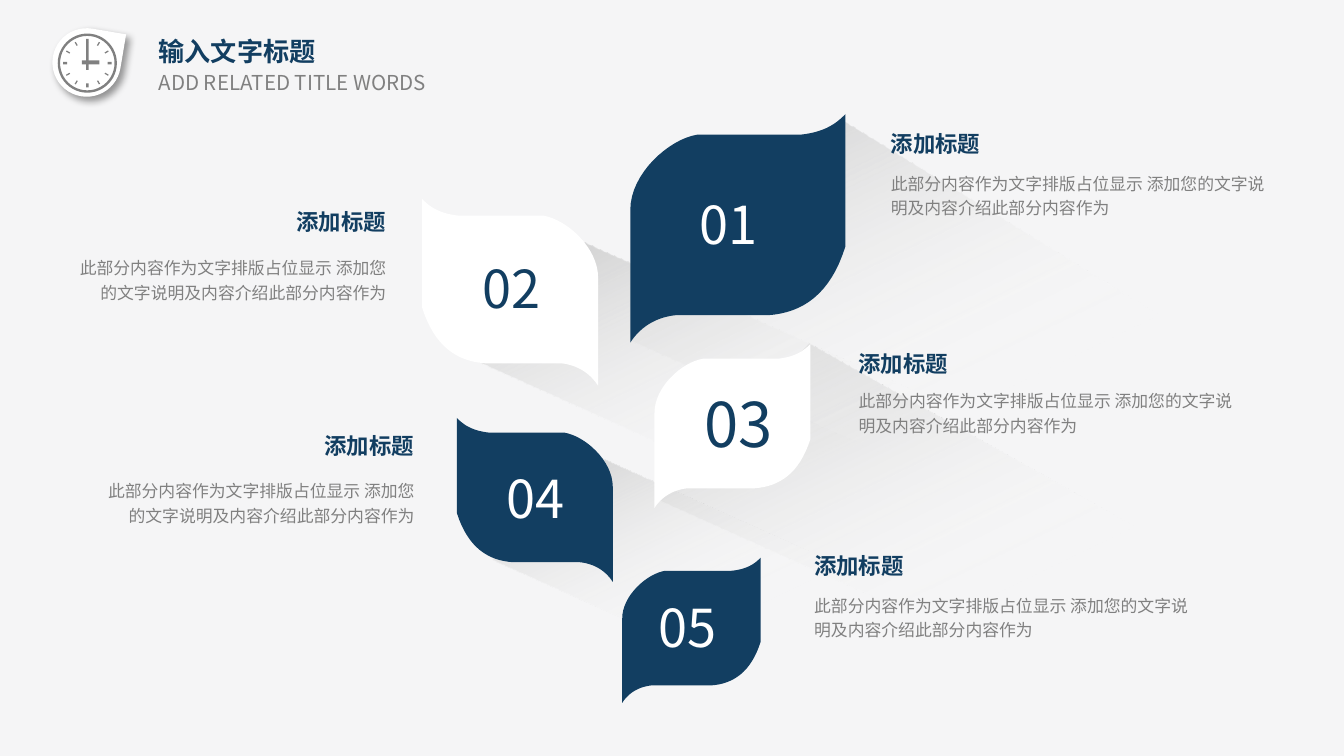
from math import cos, radians, sin

from lxml import etree
from pptx import Presentation
from pptx.dml.color import RGBColor
from pptx.enum.shapes import MSO_SHAPE as Preset
from pptx.enum.text import MSO_AUTO_SIZE as AutoSize, PP_ALIGN as Align
from pptx.oxml import parse_xml
from pptx.oxml.ns import nsdecls, qn
from pptx.util import Inches, Pt

NAVY = RGBColor(0x12, 0x3E, 0x61)
WHITE = RGBColor(0xFF, 0xFF, 0xFF)
GRAY = RGBColor(0x80, 0x80, 0x80)
PAPER = RGBColor(0xF5, 0xF5, 0xF6)
FONT = "Noto Sans CJK SC"

HEADING = "添加标题"
BODY = "此部分内容作为文字排版占位显示 添加您的文字说明及内容介绍此部分内容作为"

LEAVES = [
    {"at": (4.69, 0.85, 1.6, 1.7), "side": "right", "fill": NAVY},
    {"at": (4.87, 2.56, 1.16, 1.22), "side": "right", "fill": WHITE},
    {"at": (3.4, 3.11, 1.16, 1.22), "side": "left", "fill": NAVY},
    {"at": (3.14, 1.48, 1.31, 1.39), "side": "left", "fill": WHITE},
    {"at": (4.63, 4.15, 1.03, 1.08), "side": "right", "fill": NAVY},
]
NUMBERS = [
    ("01", (5.11, 1.38, 0.66, 0.57), 28, WHITE),
    ("02", (3.49, 1.86, 0.66, 0.57), 28, NAVY),
    ("03", (5.14, 2.82, 0.75, 0.66), 33, NAVY),
    ("04", (3.67, 3.42, 0.66, 0.57), 28, WHITE),
    ("05", (4.8, 4.38, 0.66, 0.57), 28, WHITE),
]
CAPTIONS = [
    ("right", 6.53, 0.92, 1.21),
    ("right", 6.29, 2.56, 2.83),
    ("right", 5.96, 4.06, 4.35),
    ("left", 2.97, 1.5, 1.84),
    ("left", 3.18, 3.17, 3.5),
]
SHADOW_TILT = 24.2
SHADOWS = [
    {"at": (4.98, 3.34, 5.2, 1.52),
     "corners": [(6.02, 2.56), (10.1, 4.85), (9.65, 5.85), (4.9, 3.72)]},
    {"at": (3.72, 3.91, 3.52, 1.02)},
    {"at": (3.48, 2.62, 5.11, 1.13)},
    {"at": (4.9, 1.55, 5.2, 2.14),
     "corners": [(6.27, 0.9), (10.07, 3.23), (9.43, 4.66), (4.69, 2.53)]},
]
LEAF_CURVES = [
    [(1, 0), (0.95, 0.05), (0.89, 0.08), (0.79, 0.09)],
    [(0.31, 0.09), (0.18, 0.11), (0, 0.26), (0, 0.42)],
    [(0, 1), (0.04, 0.94), (0.11, 0.89), (0.21, 0.88)],
    [(0.64, 0.88), (0.8, 0.87), (0.93, 0.79), (1, 0.58)],
]
CURVE_STEPS = 16
CLOCK_CENTER = (0.65, 0.47)
TICK_RADIUS = 0.165

GRADIENT = f"""<a:gradFill {nsdecls('a')} rotWithShape="1"><a:gsLst>
<a:gs pos="0"><a:srgbClr val="2889D6"><a:alpha val="54000"/></a:srgbClr></a:gs>
<a:gs pos="0"><a:srgbClr val="BFBFBF"/></a:gs>
<a:gs pos="54000"><a:srgbClr val="FFFFFF"><a:alpha val="0"/></a:srgbClr></a:gs>
</a:gsLst><a:lin ang="2400000" scaled="0"/></a:gradFill>"""
DROP_SHADOW = f"""<a:effectLst {nsdecls('a')}>
<a:outerShdw blurRad="50800" dist="38100" dir="2700000" algn="tl" rotWithShape="0">
<a:srgbClr val="000000"><a:alpha val="40000"/></a:srgbClr></a:outerShdw></a:effectLst>"""


def paint(shape, color):
    shape.shadow.inherit = False
    shape.line.fill.background()
    shape.fill.solid()
    shape.fill.fore_color.rgb = color
    return shape


def add_preset(page, preset, at, color, turn=0):
    shape = page.shapes.add_shape(preset, *map(Inches, at))
    shape.rotation = turn
    return paint(shape, color)


def add_outline(page, points, color):
    points = [(Inches(x), Inches(y)) for x, y in points]
    builder = page.shapes.build_freeform(*points[0])
    builder.add_line_segments(points[1:], close=True)
    return paint(builder.convert_to_shape(), color)


def add_text(page, at, text, size, color, bold=False, align=None,
             spacing=None, wrap=True, insets=(0.1, 0.05)):
    box = page.shapes.add_textbox(*map(Inches, at))
    frame = box.text_frame
    frame.word_wrap = wrap
    frame.auto_size = AutoSize.SHAPE_TO_FIT_TEXT
    frame.margin_left = frame.margin_right = Inches(insets[0])
    frame.margin_top = frame.margin_bottom = Inches(insets[1])
    para = frame.paragraphs[0]
    para.alignment = align
    para.line_spacing = spacing
    span = para.add_run()
    span.text = text
    span.font.size = Pt(size)
    span.font.bold = bold
    span.font.color.rgb = color
    span.font.name = FONT
    etree.SubElement(span.font._element, qn("a:ea"), typeface=FONT)


def add_header(page):
    add_text(page, (1.12, 0.23, 2.15, 0.29), "输入文字标题", 14, NAVY,
             bold=True, insets=(0.06, 0.03))
    add_text(page, (1.07, 0.47, 2.52, 0.29), "ADD RELATED TITLE WORDS", 11, GRAY,
             align=Align.JUSTIFY, insets=(0.11, 0.05))
    drop = add_preset(page, Preset.TEAR, (0.39, 0.21, 0.51, 0.51), WHITE, 9.5)
    properties = drop._element.spPr
    properties.replace(properties.find(qn("a:effectLst")), parse_xml(DROP_SHADOW))

    ring = add_preset(page, Preset.DONUT, (0.43, 0.25, 0.44, 0.44), GRAY)
    ring.adjustments[0] = 0.04
    for hour in range(12):
        turn = hour * 30
        width = 0.01 if hour % 3 else 0.02
        x = CLOCK_CENTER[0] + TICK_RADIUS * sin(radians(turn))
        y = CLOCK_CENTER[1] - TICK_RADIUS * cos(radians(turn))
        add_preset(page, Preset.RECTANGLE,
                   (x - width / 2, y - 0.015, width, 0.03), GRAY, turn)
    for hand in [(0.64, 0.32, 0.02, 0.2), (0.61, 0.45, 0.13, 0.03)]:
        add_preset(page, Preset.RECTANGLE, hand, GRAY)


def turn_back(point, center):
    angle = radians(-SHADOW_TILT)
    dx, dy = point[0] - center[0], point[1] - center[1]
    return (center[0] + dx * cos(angle) - dy * sin(angle),
            center[1] + dx * sin(angle) + dy * cos(angle))


def add_long_shadow(page, at, corners=None):
    left, top, width, height = at
    if corners:
        center = (left + width / 2, top + height / 2)
        shape = add_outline(page, [turn_back(c, center) for c in corners], GRAY)
        shape.rotation = SHADOW_TILT
    else:
        shape = add_preset(page, Preset.RECTANGLE, at, GRAY, SHADOW_TILT)
    properties = shape._element.spPr
    properties.replace(properties.find(qn("a:solidFill")), parse_xml(GRADIENT))


def curve_points(curve):
    for step in range(CURVE_STEPS + 1):
        t = step / CURVE_STEPS
        weights = ((1 - t) ** 3, 3 * t * (1 - t) ** 2, 3 * t * t * (1 - t), t ** 3)
        yield tuple(sum(w * p[axis] for w, p in zip(weights, curve)) for axis in (0, 1))


def add_leaf(page, at, side, fill):
    left, top, width, height = at
    points = [(left + width * (x if side == "right" else 1 - x), top + height * y)
              for curve in LEAF_CURVES for x, y in curve_points(curve)]
    add_outline(page, points, fill)


def add_caption(page, side, edge, heading_top, body_top):
    on_right = side == "right"
    align = Align.LEFT if on_right else Align.RIGHT
    body_width = 3 if on_right else 2.54
    heading_left, body_left = (edge if on_right else edge - width
                               for width in (1.64, body_width))
    add_text(page, (heading_left, heading_top, 1.64, 0.3), HEADING, 12, NAVY,
             bold=True, align=align)
    add_text(page, (body_left, body_top, body_width, 0.45), BODY, 9, GRAY,
             align=align, spacing=1.2)


def main():
    deck = Presentation()
    deck.slide_width = Inches(10)
    deck.slide_height = deck.slide_width * 9 // 16
    page = deck.slides.add_slide(deck.slide_layouts[6])
    page.background.fill.solid()
    page.background.fill.fore_color.rgb = PAPER
    add_header(page)
    for shadow in SHADOWS:
        add_long_shadow(page, **shadow)
    for leaf in LEAVES:
        add_leaf(page, **leaf)
    for text, at, size, color in NUMBERS:
        add_text(page, at, text, size, color, wrap=False)
    for caption in CAPTIONS:
        add_caption(page, *caption)
    deck.save("out.pptx")


if __name__ == "__main__":
    main()
